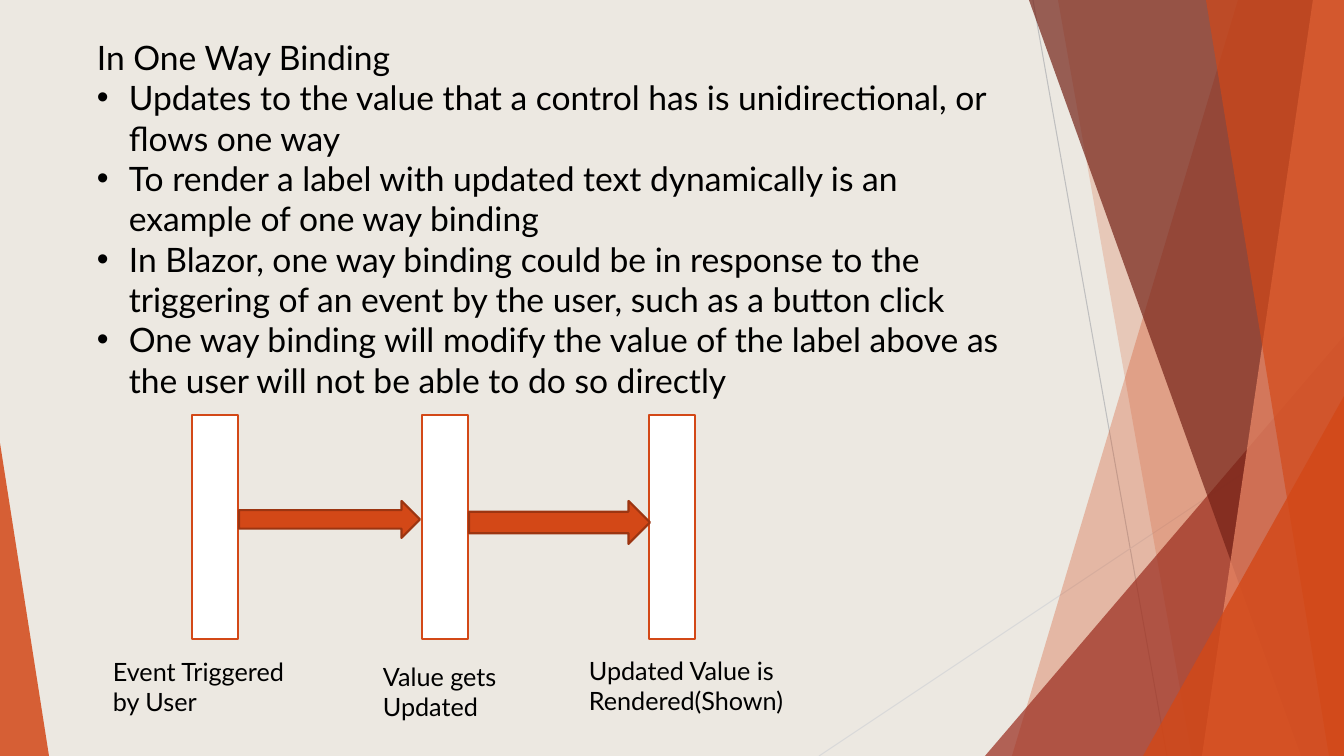
from lxml.etree import SubElement
from pptx import Presentation
from pptx.dml.color import RGBColor
from pptx.enum.shapes import MSO_CONNECTOR, MSO_SHAPE
from pptx.oxml.ns import qn
from pptx.util import Pt

SCALE = 914400 / 100.8
WIDTH, HEIGHT = 1344, 756
FONT = "Lato"
BACKGROUND = RGBColor(0xEC, 0xE8, 0xE1)
BLACK = RGBColor(0, 0, 0)
WHITE = RGBColor(0xFF, 0xFF, 0xFF)
ORANGE = RGBColor(0xD3, 0x48, 0x17)
DARK_ORANGE = RGBColor(0x9C, 0x35, 0x11)
SALMON = RGBColor(0xEF, 0x8C, 0x6A)
RED = RGBColor(0x9B, 0x2D, 0x1F)
MAROON = RGBColor(0x74, 0x22, 0x17)
GRAY = RGBColor(0xBF, 0xBF, 0xBF)
LIGHT_GRAY = RGBColor(0xD9, 0xD9, 0xD9)


def emu(*pixels):
    return [round(value * SCALE) for value in pixels]


def add_text(box, lines, size):
    frame = slide.shapes.add_textbox(*emu(*box)).text_frame
    frame.word_wrap = True
    for index, line in enumerate(lines):
        paragraph = frame.paragraphs[0] if index == 0 else frame.add_paragraph()
        paragraph.text = line
        paragraph.font.name = FONT
        paragraph.font.size = Pt(size)
        paragraph.font.color.rgb = BLACK
    return frame


presentation = Presentation()
presentation.slide_width, presentation.slide_height = emu(WIDTH, HEIGHT)
slide = presentation.slides.add_slide(presentation.slide_layouts[6])
slide.background.fill.solid()
slide.background.fill.fore_color.rgb = BACKGROUND

for ends, color in [
    ((1033, 0, 1167, HEIGHT), GRAY),
    ((WIDTH, 406, 819, HEIGHT), LIGHT_GRAY),
]:
    hairline = slide.shapes.add_connector(MSO_CONNECTOR.STRAIGHT, *emu(*ends))
    hairline.line.color.rgb = color
    hairline.line.width = Pt(0.75)
    SubElement(hairline._element.spPr, qn("a:effectLst"))

facets = [
    ("panel", (1238, 1012), ORANGE, 30),
    ("panel", (1058, 1192), ORANGE, 20),
    ("triangle", (985, 336, 359, 1), RED, 72),
    ("panel", (1029, 1301), MAROON, 70),
    ("panel", (1313, 1202), SALMON, 70),
    ("panel", (1206, 1329), ORANGE, 65),
    ("triangle", (1143, 396, 201, 1), ORANGE, 80),
    ("triangle", (0, 443, 49, 0), ORANGE, 85),
]
for kind, geometry, color, opacity in facets:
    if kind == "panel":
        top_x, bottom_x = geometry
        outline = slide.shapes.build_freeform(top_x, 0, scale=SCALE)
        outline.add_line_segments([(WIDTH, 0), (WIDTH, HEIGHT), (bottom_x, HEIGHT)])
        facet = outline.convert_to_shape()
    else:
        left, top, width, apex = geometry
        facet = slide.shapes.add_shape(
            MSO_SHAPE.ISOSCELES_TRIANGLE, *emu(left, top, width, HEIGHT - top))
        facet.adjustments[0] = apex
    facet.shadow.inherit = False
    facet.fill.solid()
    facet.fill.fore_color.rgb = color
    facet.line.fill.background()
    color_element = facet._element.spPr.find(qn("a:solidFill"))[0]
    SubElement(color_element, qn("a:alpha"), val=str(opacity * 1000))

explanation = add_text((87, 32, 952, 417), [
    "In One Way Binding",
    "Updates to the value that a control has is unidirectional, or flows one way",
    "To render a label with updated text dynamically is an example of one way binding",
    "In Blazor, one way binding could be in response to the triggering of an event "
    "by the user, such as a button click",
    "One way binding will modify the value of the label above as the user will not "
    "be able to do so directly",
], 24)
indent = emu(32)[0]
for paragraph in explanation.paragraphs[1:]:
    properties = paragraph._p.get_or_add_pPr()
    properties.set("marL", str(indent))
    properties.set("indent", str(-indent))
    SubElement(properties, qn("a:buFont"), typeface="Arial")
    SubElement(properties, qn("a:buChar"), char="•")
    for default_run in properties.findall(qn("a:defRPr")):
        properties.append(default_run)

for preset, box, fill, border in [
    (MSO_SHAPE.RECTANGLE, (192, 415, 46, 224), WHITE, ORANGE),
    (MSO_SHAPE.RIGHT_ARROW, (239, 501, 181, 37), ORANGE, DARK_ORANGE),
    (MSO_SHAPE.RECTANGLE, (649, 415, 46, 224), WHITE, ORANGE),
    (MSO_SHAPE.RECTANGLE, (422, 415, 46, 224), WHITE, ORANGE),
    (MSO_SHAPE.RIGHT_ARROW, (469, 501, 181, 43), ORANGE, DARK_ORANGE),
]:
    shape = slide.shapes.add_shape(preset, *emu(*box))
    shape.shadow.inherit = False
    shape.fill.solid()
    shape.fill.fore_color.rgb = fill
    shape.line.color.rgb = border
    shape.line.width = Pt(1.5)

for left, top, width, caption in [
    (103, 651, 202, "Event Triggered by User"),
    (373, 656, 202, "Value gets Updated"),
    (579, 650, 237, "Updated Value is Rendered(Shown)"),
]:
    add_text((left, top, width, 71), [caption], 18)

presentation.save("out.pptx")
